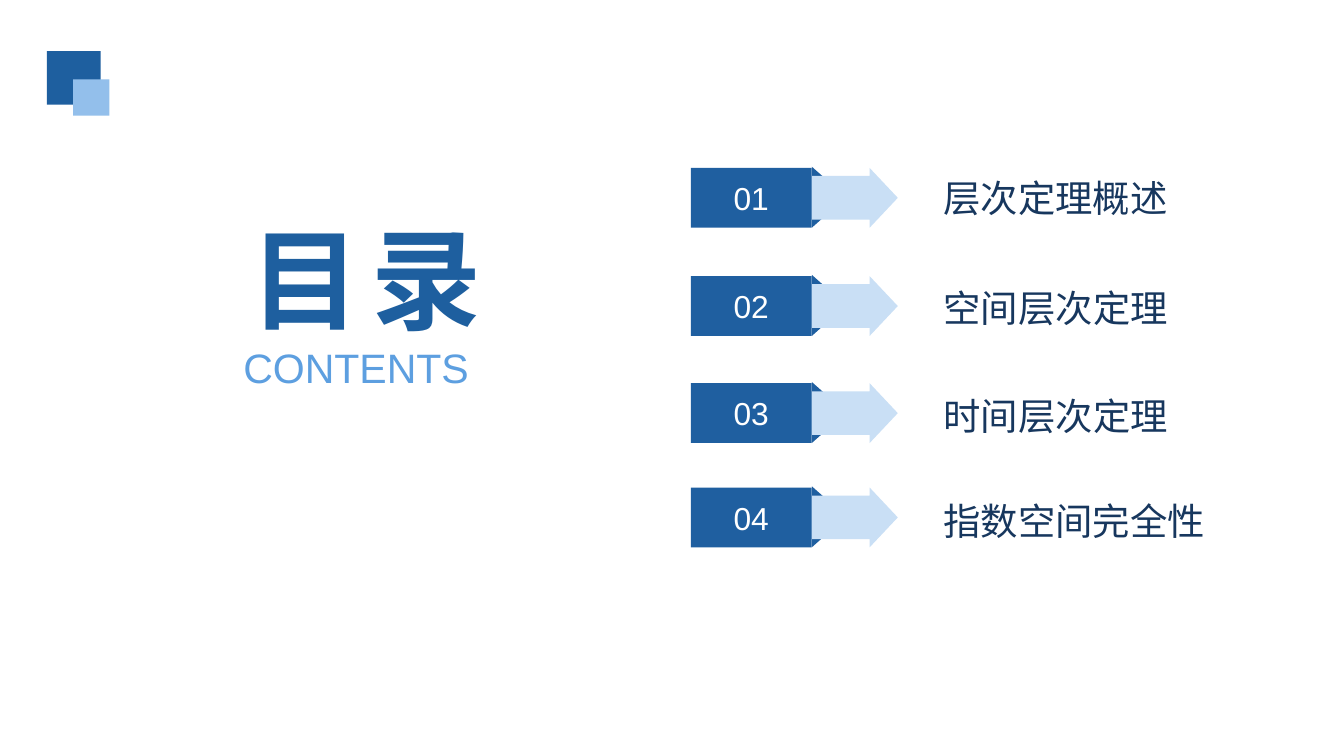
from pptx import Presentation
from pptx import util as u
from pptx.dml import color as c
from pptx.enum import shapes, text

# The page is a grid of 100 columns by 56.25 rows; one cell is 0.1 inch
COLUMNS, ROWS, CELL = 100, 56.25, 0.1
COLORS = {
    "navy": "1E5F9F",
    "tag": "1F5FA0",
    "sky": "93BFEB",
    "arrow": "C9DFF5",
    "subtitle": "5D9FE0",
    "topic": "17375E",
    "white": "FFFFFF",
}
KINDS = shapes.MSO_SHAPE
# Row of the tag, row of the label, label width, label
TOPICS = [
    (12.5, 13.0, 20.4, "层次定理概述"),
    (20.55, 21.2, 25.1, "空间层次定理"),
    (28.52, 29.2, 25.1, "时间层次定理"),
    (36.28, 37.0, 23.4, "指数空间完全性"),
]


def grid(*cells):
    return [u.Inches(cell * CELL) for cell in cells]


def add_block(page, kind, box, color):
    shape = page.shapes.add_shape(kind, *grid(*box))
    shape.shadow.inherit = False
    shape.fill.solid()
    shape.fill.fore_color.rgb = c.RGBColor.from_string(COLORS[color])
    shape.line.fill.background()
    return shape


def write(shape, words, size, color, bold=False, align="LEFT", anchor="MIDDLE", spacing=0):
    frame = shape.text_frame
    frame.word_wrap = True
    frame.vertical_anchor = getattr(text.MSO_ANCHOR, anchor)
    frame.margin_left = frame.margin_right = frame.margin_top = frame.margin_bottom = 0
    para = frame.paragraphs[0]
    para.alignment = getattr(text.PP_ALIGN, align)
    span = para.add_run()
    span.text = words
    span.font.name = "Arial"
    span.font.size = u.Pt(size)
    span.font.bold = bold
    span.font.color.rgb = c.RGBColor.from_string(COLORS[color])
    if spacing:
        span.font._element.set("spc", str(spacing * 100))


def add_words(page, box, words, **style):
    write(page.shapes.add_textbox(*grid(*box)), words, **style)


def add_corner_mark(page, box):
    left, top, width, height = box
    add_block(page, KINDS.RECTANGLE, (left, top, 4, 4), "navy")
    small = 2.7
    add_block(page, KINDS.RECTANGLE,
              (left + width - small, top + height - small, small, small), "sky")


def add_heading(page, box):
    left, top, width, height = box
    add_words(page, (left, top, width, 9.9), "目录", size=59, color="navy",
              bold=True, align="CENTER", spacing=6)
    add_words(page, (left + 2.2, top + height - 3.7, 25.1, 3.7), "CONTENTS",
              size=22, color="subtitle", align="CENTER", anchor="TOP")


def add_number_arrow(page, box, number):
    left, top, width, height = box
    tag_width, fold_width, fold_height, indent = 9, 0.9, 0.8, 2.2

    # Folded corners behind the arrow
    fold_left = left + tag_width
    lower = add_block(page, KINDS.RIGHT_TRIANGLE,
                      (fold_left, top + height - fold_height, fold_width, fold_height), "tag")
    lower._element.spPr.xfrm.set("flipV", "1")
    add_block(page, KINDS.RIGHT_TRIANGLE,
              (fold_left, top - 0.1, fold_width, fold_height), "tag")

    # Arrow, then the number tag over its tail
    arrow = add_block(page, KINDS.RIGHT_ARROW,
                      (left + indent, top, width - indent, height), "arrow")
    arrow.adjustments[0], arrow.adjustments[1] = 0.73, 0.47
    tag = add_block(page, KINDS.RECTANGLE, (left, top, tag_width, height), "tag")
    write(tag, f"{number:02d}", size=17, color="white", align="CENTER")


def add_contents_page(deck):
    page = deck.slides.add_slide(deck.slide_layouts[6])
    add_corner_mark(page, (3.5, 3.8, 4.65, 4.8))
    for number, (tag_top, label_top, label_width, topic) in enumerate(TOPICS, start=1):
        add_number_arrow(page, (51.4, tag_top, 15.4, 4.45), number)
        add_words(page, (70.2, label_top, label_width, 3.4), topic, size=20, color="topic")
    add_heading(page, (11.75, 15.7, 31, 13.5))


def main():
    deck = Presentation()
    deck.slide_width, deck.slide_height = grid(COLUMNS, ROWS)
    add_contents_page(deck)
    deck.save("out.pptx")


if __name__ == "__main__":
    main()
